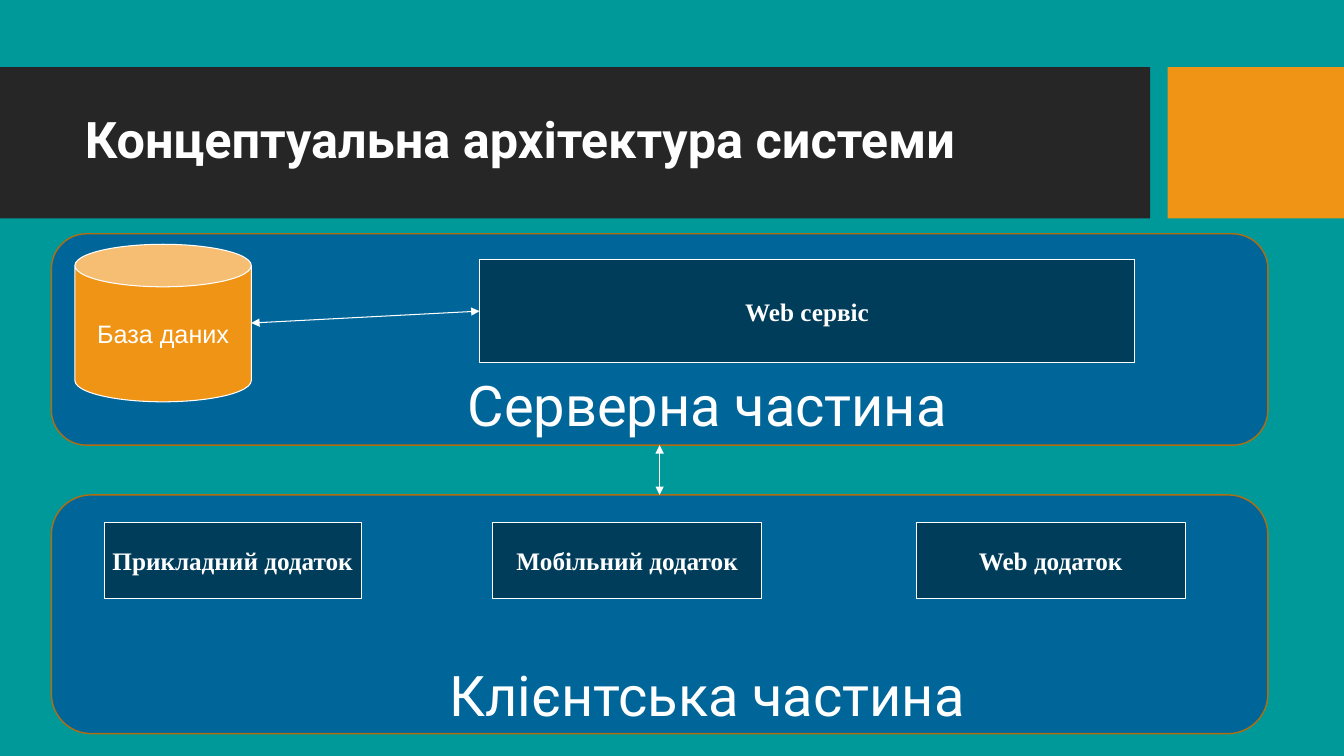
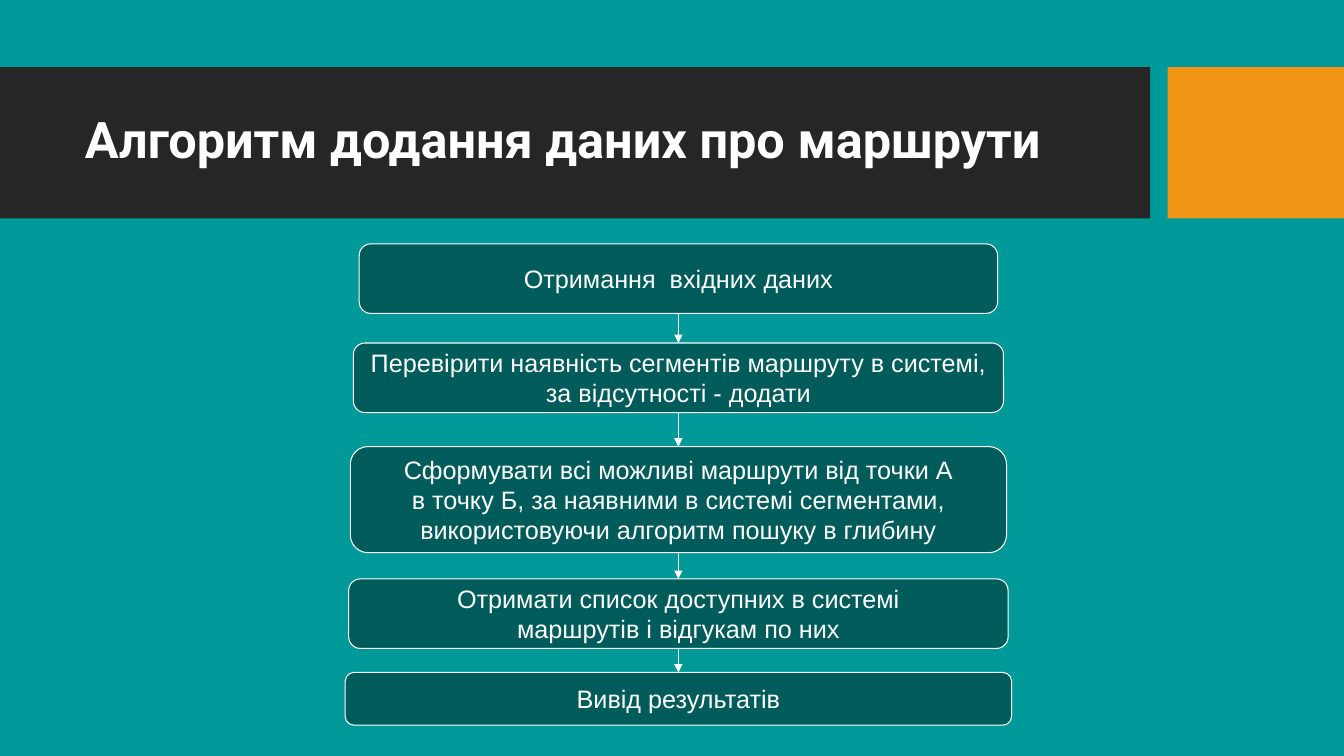
from lxml import etree
from pptx import Presentation
from pptx.dml.color import RGBColor
from pptx.enum.shapes import MSO_CONNECTOR, MSO_SHAPE
from pptx.enum.text import MSO_ANCHOR, PP_ALIGN
from pptx.oxml.ns import qn
from pptx.util import Pt

TEAL = RGBColor(0x00, 0x99, 0x99)
CHARCOAL = RGBColor(0x26, 0x26, 0x26)
ORANGE = RGBColor(0xF0, 0x94, 0x15)
BROWN = RGBColor(0xB2, 0x6D, 0x10)
BLUE = RGBColor(0x00, 0x66, 0x99)
BLACK = RGBColor(0x00, 0x00, 0x00)
WHITE = RGBColor(0xFF, 0xFF, 0xFF)

TITLE_FONT, BODY_FONT, BOX_FONT = "Roboto", "Arial", "Times New Roman"

RECT, ROUNDED, CAN = MSO_SHAPE.RECTANGLE, MSO_SHAPE.ROUNDED_RECTANGLE, MSO_SHAPE.CAN
PROCESS = MSO_SHAPE.FLOWCHART_PROCESS
STEP = MSO_SHAPE.FLOWCHART_ALTERNATE_PROCESS
STRAIGHT = MSO_CONNECTOR.STRAIGHT
TOP, MIDDLE = MSO_ANCHOR.TOP, MSO_ANCHOR.MIDDLE
LEFT, CENTER = PP_ALIGN.LEFT, PP_ALIGN.CENTER

# Connection sites of a box
SITE_TOP, SITE_LEFT, SITE_BOTTOM = 0, 1, 2


class Deck:
    """Holds the shared style and the current slide."""

    def __init__(self):
        self.prs = Presentation()
        self.prs.slide_width, self.prs.slide_height = Pt(960), Pt(540)
        self.s = None

    def slide(self, title):
        self.s = self.prs.slides.add_slide(self.prs.slide_layouts[6])
        fill = self.s.background.fill
        fill.solid()
        fill.fore_color.rgb = TEAL
        # Title band and accent block
        self.shape(RECT, 0, 48, 821.5, 108, CHARCOAL)
        self.shape(RECT, 834, 48, 126, 108, ORANGE)
        sp = self.s.shapes.add_textbox(Pt(53.5), Pt(59), Pt(757), Pt(85))
        self.text(sp, [title], TITLE_FONT, 36, bold=True, align=LEFT, spacing=0.9)

    def shape(self, kind, x, y, w, h, color, line=None, weight=0.75, opacity=None):
        sp = self.s.shapes.add_shape(kind, Pt(x), Pt(y), Pt(w), Pt(h))
        sp.shadow.inherit = False
        sp.fill.solid()
        sp.fill.fore_color.rgb = color
        if opacity is not None:
            clr = sp.fill._xPr.find(qn("a:solidFill"))[0]
            etree.SubElement(clr, qn("a:alpha")).set("val", str(opacity * 1000))
        if line is None:
            sp.line.fill.background()
        else:
            sp.line.color.rgb = line
            sp.line.width = Pt(weight)
        return sp

    def text(self, sp, lines, font, size=18, bold=False, align=CENTER,
             anchor=MIDDLE, wrap=True, spacing=None):
        tf = sp.text_frame
        tf.word_wrap = wrap
        tf.vertical_anchor = anchor
        for i, line in enumerate(lines):
            p = tf.add_paragraph() if i else tf.paragraphs[0]
            p.alignment = align
            if spacing:
                p.line_spacing = spacing
            r = p.add_run()
            r.text = line
            r.font.name, r.font.size, r.font.bold = font, Pt(size), bold
            r.font.color.rgb = WHITE

    def panel(self, y, h, caption, caption_top):
        sp = self.shape(ROUNDED, 36.7, y, 869, h, BLUE, BROWN, 1)
        tf = sp.text_frame
        tf.margin_left, tf.margin_top, tf.margin_bottom = Pt(75), Pt(caption_top), 0
        self.text(sp, [caption], TITLE_FONT, 40, anchor=TOP)
        return sp

    def box(self, kind, x, y, w, h, lines, font, bold=False):
        sp = self.shape(kind, x, y, w, h, BLACK, WHITE, opacity=40)
        self.text(sp, lines, font, bold=bold, wrap=False)
        return sp

    def database(self, x, y, w, h, label):
        sp = self.shape(CAN, x, y, w, h, ORANGE, WHITE)
        sp.adjustments[0] = 0.27
        self.text(sp, [label], BODY_FONT, wrap=False)
        return sp

    def arrow(self, start, start_site, end, end_site=None, both=False):
        """Without an end site the arrow meets the middle of the right side."""
        c = self.s.shapes.add_connector(
            STRAIGHT, 0, 0, end.left + end.width, end.top + end.height // 2)
        c.begin_connect(start, start_site)
        if end_site is not None:
            c.end_connect(end, end_site)
        c.line.color.rgb = WHITE
        c.line.width = Pt(0.75)
        for tag in ("a:headEnd", "a:tailEnd") if both else ("a:tailEnd",):
            etree.SubElement(c.line._ln, qn(tag)).set("type", "triangle")
        etree.SubElement(c._element.spPr, qn("a:effectLst"))


def architecture(deck):
    deck.slide("Концептуальна архітектура системи")
    client = deck.panel(353.5, 170.5, "Клієнтська частина", 110)
    server = deck.panel(167, 151, "Серверна частина", 90)

    # Server side
    service = deck.box(PROCESS, 342.5, 185.5, 468, 73.5, ["Web сервіс"], BOX_FONT, True)
    database = deck.database(53.5, 174.5, 126, 112.5, "База даних")
    deck.arrow(service, SITE_LEFT, database, both=True)
    deck.arrow(server, SITE_BOTTOM, client, SITE_TOP, both=True)

    # Client applications
    for x, w, label in ((74.5, 183.5, "Прикладний додаток"),
                        (352, 192, "Мобільний додаток"),
                        (654.5, 192, "Web додаток")):
        deck.box(PROCESS, x, 373, w, 54.5, [label], BOX_FONT, True)


def algorithm(deck):
    deck.slide("Алгоритм додання даних про маршрути")
    center = 484.6
    steps = (
        (174.2, 456, 49.7, ["Отримання  вхідних даних"]),
        (245, 464.4, 49.7, ["Перевірити наявність сегментів маршруту в системі,",
                            "за відсутності - додати"]),
        (319, 468.7, 75.8, ["Сформувати всі можливі маршрути від точки А",
                            "в точку Б, за наявними в системі сегментами,",
                            "використовуючи алгоритм пошуку в глибину"]),
        (413.5, 471, 49.7, ["Отримати список доступних в системі",
                            "маршрутів і відгукам по них"]),
        (480.3, 476, 37.7, ["Вивід результатів"]),
    )
    boxes = [deck.box(STEP, center - w / 2, y, w, h, lines, BODY_FONT)
             for y, w, h, lines in steps]
    for upper, lower in zip(boxes, boxes[1:]):
        deck.arrow(upper, SITE_BOTTOM, lower, SITE_TOP)


def main():
    deck = Deck()
    architecture(deck)
    algorithm(deck)
    deck.prs.save("out.pptx")


if __name__ == "__main__":
    main()
